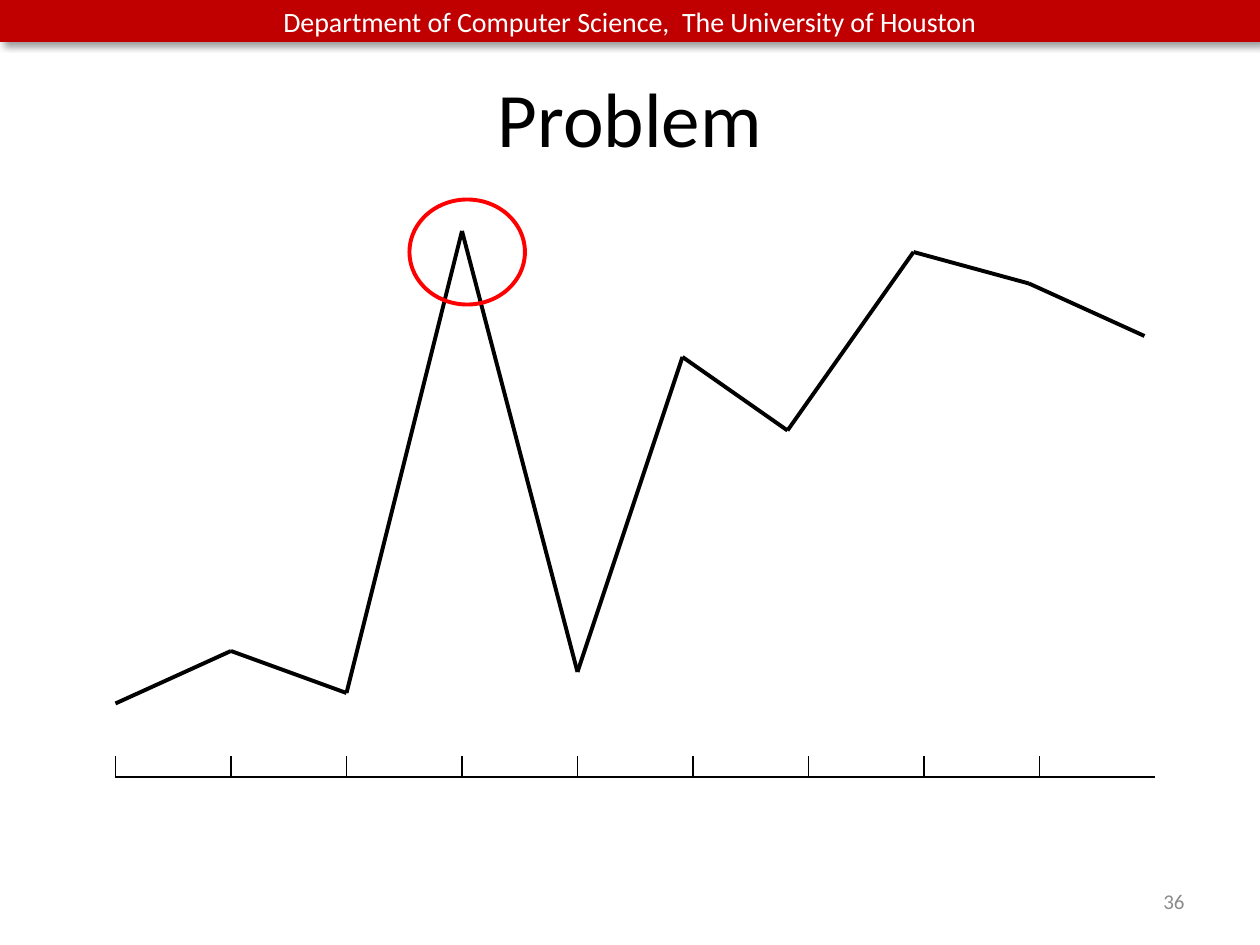
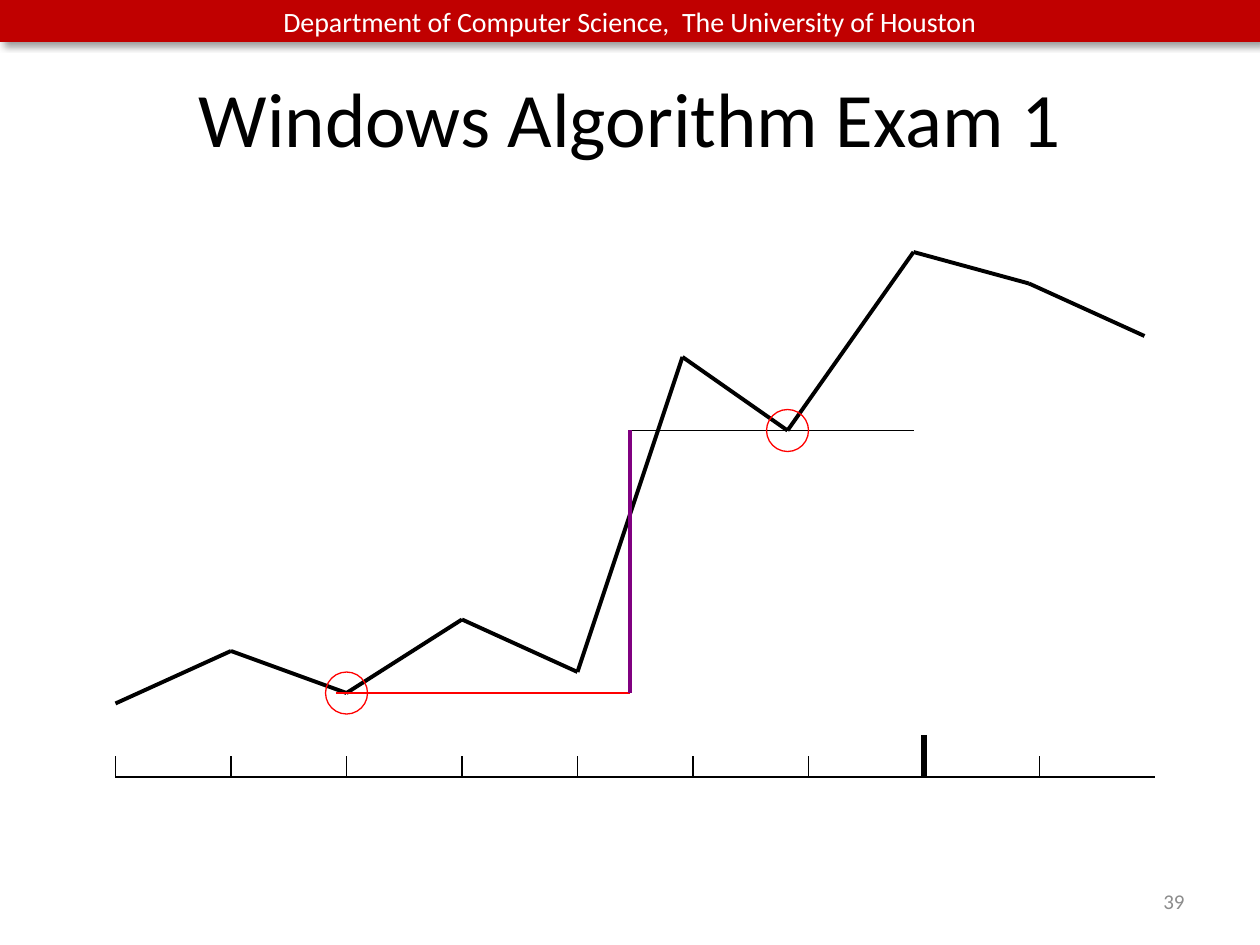
from dataclasses import dataclass
from itertools import pairwise

from lxml.etree import SubElement
from pptx import Presentation
from pptx.dml.color import RGBColor
from pptx.enum.shapes import MSO_CONNECTOR as Connector, MSO_SHAPE as Preset
from pptx.enum.text import MSO_ANCHOR as Anchor, PP_ALIGN as Align
from pptx.oxml.ns import qn
from pptx.shapes.autoshape import Shape
from pptx.slide import Slide
from pptx.util import Cm, Length, Pt

BLACK = RGBColor(0x00, 0x00, 0x00)
WHITE = RGBColor(0xFF, 0xFF, 0xFF)
GRAY = RGBColor(0x8C, 0x8C, 0x8C)
CRIMSON = RGBColor(0xC0, 0x00, 0x00)
RED = RGBColor(0xFF, 0x00, 0x00)
PURPLE = RGBColor(0x80, 0x00, 0x80)

FONT = "Calibri"
DEPARTMENT = "Department of Computer Science,  The University of Houston"
THIN, MEDIUM, THICK = 0.75, 2.25, 3

GRID_CM = 2.54 / 12
PAGE_WIDTH, PAGE_HEIGHT = 120, 90
AXIS_Y = 74
TICK_STEP = 11
TICK_COUNT = 9
TICK_HEIGHT = 2
TALL_TICK_HEIGHT = 4

Point = tuple[float, float]


@dataclass(frozen=True)
class Segment:
    start: Point
    end: Point
    color: RGBColor = BLACK
    weight: float = THIN


@dataclass(frozen=True)
class Ring:
    center: Point
    width: float = 4
    height: float = 4
    weight: float = THIN


@dataclass(frozen=True)
class SignalPage:
    title: str
    number: int
    fourth_value: float
    rings: tuple[Ring, ...]
    guides: tuple[Segment, ...] = ()
    tall_tick: int | None = None


def grid(units: float) -> Length:
    return Cm(units * GRID_CM)


def write_text(shape: Shape, text: str, *, size: float, color: RGBColor,
               align: Align = Align.CENTER) -> None:
    frame = shape.text_frame
    frame.word_wrap = True
    frame.vertical_anchor = Anchor.MIDDLE
    para = frame.paragraphs[0]
    para.alignment = align
    span = para.add_run()
    span.text = text
    span.font.name = FONT
    span.font.size = Pt(size)
    span.font.color.rgb = color


def add_text(page: Slide, text: str, left: float, top: float, width: float,
             height: float, **style) -> None:
    box = page.shapes.add_textbox(grid(left), grid(top), grid(width), grid(height))
    write_text(box, text, **style)


def add_segment(page: Slide, segment: Segment) -> None:
    ends = (grid(value) for value in segment.start + segment.end)
    line = page.shapes.add_connector(Connector.STRAIGHT, *ends)
    line.line.color.rgb = segment.color
    line.line.width = Pt(segment.weight)
    SubElement(line.element.spPr, qn("a:effectLst"))


def add_ring(page: Slide, ring: Ring) -> None:
    x, y = ring.center
    oval = page.shapes.add_shape(
        Preset.OVAL, grid(x - ring.width / 2), grid(y - ring.height / 2),
        grid(ring.width), grid(ring.height))
    oval.shadow.inherit = False
    oval.fill.background()
    oval.line.color.rgb = RED
    oval.line.width = Pt(ring.weight)


def add_band(page: Slide) -> None:
    band = page.shapes.add_shape(Preset.RECTANGLE, 0, 0, grid(PAGE_WIDTH), grid(4))
    band.fill.solid()
    band.fill.fore_color.rgb = CRIMSON
    band.line.fill.background()
    band.shadow.inherit = False
    effects = band.element.spPr.find(qn("a:effectLst"))
    shadow = SubElement(effects, qn("a:outerShdw"), blurRad=str(Pt(4)),
                        dist=str(Pt(3)), dir="2700000", algn="tl", rotWithShape="0")
    tint = SubElement(shadow, qn("a:srgbClr"), val=str(BLACK))
    SubElement(tint, qn("a:alpha"), val="40000")
    write_text(band, DEPARTMENT, size=16, color=WHITE)


def add_axis(page: Slide, tall_tick: int | None) -> None:
    for tick in range(1, TICK_COUNT + 1):
        x = tick * TICK_STEP
        tall = tick == tall_tick
        top = AXIS_Y - (TALL_TICK_HEIGHT if tall else TICK_HEIGHT)
        add_segment(page, Segment((x, AXIS_Y), (x + TICK_STEP, AXIS_Y)))
        add_segment(page, Segment((x, top), (x, AXIS_Y),
                                  weight=THICK if tall else THIN))


def add_signal(page: Slide, fourth_value: float) -> None:
    points = [(11, 67), (22, 62), (33, 66), (44, fourth_value), (55, 64),
              (65, 34), (75, 41), (87, 24), (98, 27), (109, 32)]
    for start, end in pairwise(points):
        add_segment(page, Segment(start, end, weight=MEDIUM))


PAGES = (
    SignalPage("Problem", 36, fourth_value=22,
               rings=(Ring((44.5, 24), 11, 10, MEDIUM),)),
    SignalPage("Windows Algorithm Exam 1", 39, fourth_value=59,
               rings=(Ring((33, 66)), Ring((75, 41))),
               guides=(Segment((32, 66), (60, 66), RED),
                       Segment((60, 41), (87, 41)),
                       Segment((60, 41), (60, 66), PURPLE, MEDIUM)),
               tall_tick=8),
)


def build_page(deck: Presentation, content: SignalPage) -> None:
    page = deck.slides.add_slide(deck.slide_layouts[6])
    add_band(page)
    add_text(page, content.title, 6, 3.6, 108, 15, size=44, color=BLACK)
    add_axis(page, content.tall_tick)
    add_signal(page, content.fourth_value)
    for guide in content.guides:
        add_segment(page, guide)
    for ring in content.rings:
        add_ring(page, ring)
    add_text(page, str(content.number), 86, 83.4, 28, 4.8, size=12, color=GRAY,
             align=Align.RIGHT)


deck = Presentation()
deck.slide_width = grid(PAGE_WIDTH)
deck.slide_height = grid(PAGE_HEIGHT)
for content in PAGES:
    build_page(deck, content)
deck.save("out.pptx")
